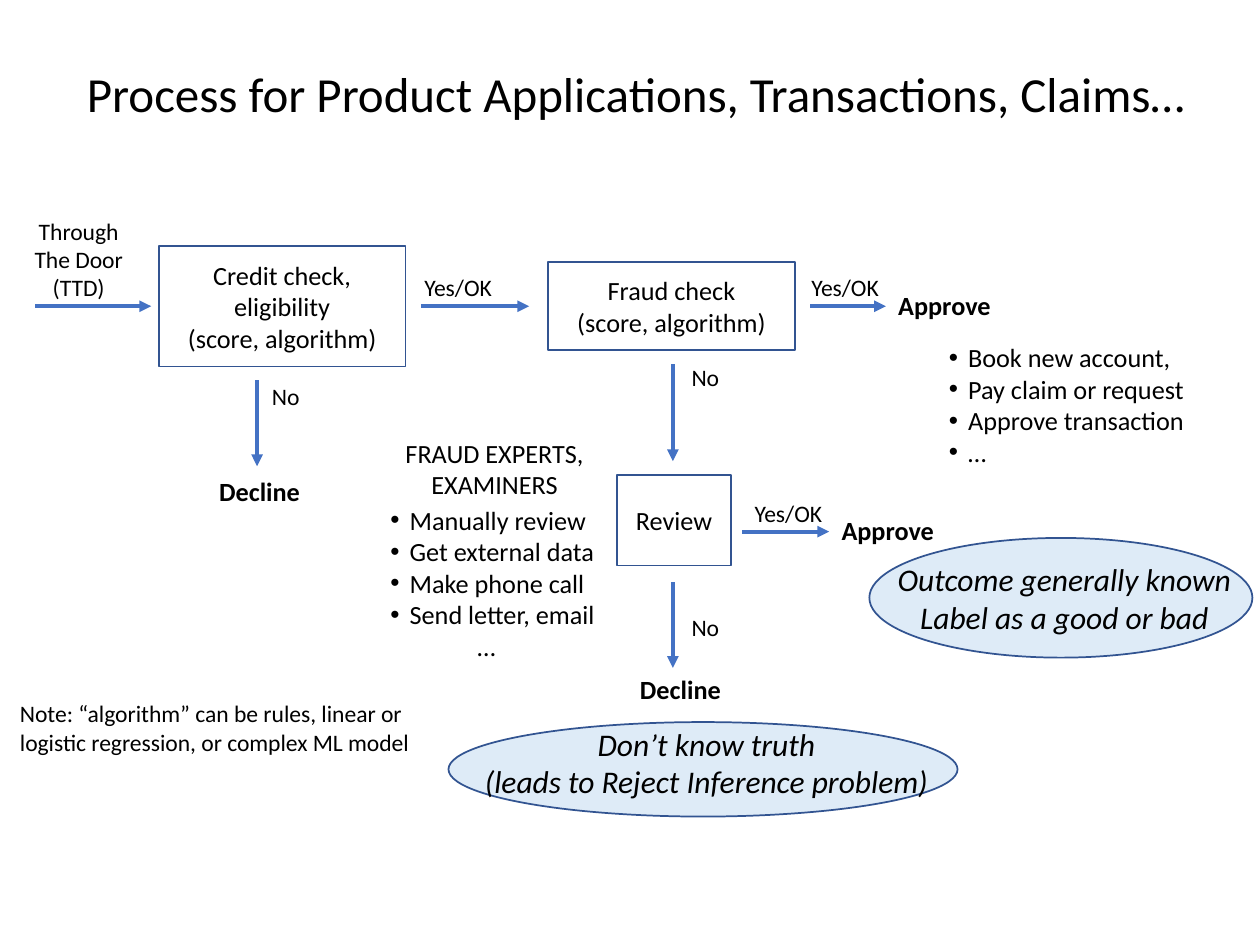
from dataclasses import dataclass

from lxml.etree import SubElement
from pptx import Presentation
from pptx.dml.color import RGBColor
from pptx.enum.shapes import MSO_CONNECTOR as Connector, MSO_SHAPE as Preset
from pptx.enum.text import MSO_ANCHOR as Anchor, MSO_AUTO_SIZE as AutoSize, PP_ALIGN as Align
from pptx.oxml.ns import qn
from pptx.util import Pt

BLACK, OUTLINE, ARROW, PALE = "000000", "325491", "4472C4", "DEEBF7"
STEP_SIZE, NOTE_SIZE, OUTCOME_SIZE, TITLE_SIZE = 15, 13.5, 18, 28


@dataclass
class Step:
    text: str
    left: float
    top: float
    width: float
    height: float


@dataclass
class Outcome(Step):
    shift: float = 0
    lift: float = 0


@dataclass
class Flow:
    start_x: float
    start_y: float
    end_x: float
    end_y: float


@dataclass
class Label:
    text: str
    left: float
    top: float
    width: float
    height: float
    size: float = NOTE_SIZE
    bold: bool = False
    align: Align = Align.LEFT
    wrap: bool = False


@dataclass
class BulletList:
    items: list[str]
    left: float
    top: float
    width: float
    height: float
    indent: float
    margin_left: float
    trailing: str = ""


def color(value: str) -> RGBColor:
    return RGBColor.from_string(value)


def place(item, left: float, top: float, width: float, height: float) -> None:
    item.left, item.top, item.width, item.height = Pt(left), Pt(top), Pt(width), Pt(height)


def write(frame, text: str, size: float, align: Align, bold: bool = False,
          italic: bool = False, wrap: bool = False) -> None:
    frame.text = text
    frame.word_wrap = wrap
    frame.auto_size = AutoSize.NONE
    for paragraph in frame.paragraphs:
        paragraph.alignment = align
        paragraph.line_spacing = 1.0
        paragraph.space_before = paragraph.space_after = Pt(0)
        for run in paragraph.runs:
            run.font.name = "Calibri"
            run.font.size = Pt(size)
            run.font.bold, run.font.italic = bold, italic
            run.font.color.rgb = color(BLACK)


def draw_block(slide, preset: Preset, block: Step):
    drawn = slide.shapes.add_shape(
        preset, Pt(block.left), Pt(block.top), Pt(block.width), Pt(block.height))
    drawn.shadow.inherit = False
    drawn.line.color.rgb = color(OUTLINE)
    drawn.line.width = Pt(1)
    drawn.text_frame.vertical_anchor = Anchor.MIDDLE
    return drawn


def draw_step(slide, step: Step) -> None:
    box = draw_block(slide, Preset.RECTANGLE, step)
    box.fill.background()
    write(box.text_frame, step.text, STEP_SIZE, Align.CENTER)


def draw_outcome(slide, outcome: Outcome) -> None:
    oval = draw_block(slide, Preset.OVAL, outcome)
    oval.fill.solid()
    oval.fill.fore_color.rgb = color(PALE)
    frame = oval.text_frame
    frame.margin_top = frame.margin_right = Pt(0)
    frame.margin_left, frame.margin_bottom = Pt(2 * outcome.shift), Pt(2 * outcome.lift)
    write(frame, outcome.text, OUTCOME_SIZE, Align.CENTER, italic=True)


def draw_flow(slide, flow: Flow) -> None:
    arrow = slide.shapes.add_connector(
        Connector.STRAIGHT, Pt(flow.start_x), Pt(flow.start_y), Pt(flow.end_x), Pt(flow.end_y))
    arrow.line.color.rgb = color(ARROW)
    arrow.line.width = Pt(2.25)
    properties = arrow.element.spPr
    SubElement(properties.find(qn("a:ln")), qn("a:tailEnd"), type="triangle")
    SubElement(properties, qn("a:effectLst"))


def draw_label(slide, label: Label) -> None:
    box = slide.shapes.add_textbox(
        Pt(label.left), Pt(label.top), Pt(label.width), Pt(label.height))
    write(box.text_frame, label.text, label.size, label.align, label.bold, wrap=label.wrap)


def fill_list(body, bullets: BulletList) -> None:
    place(body, bullets.left, bullets.top, bullets.width, bullets.height)
    frame = body.text_frame
    frame.margin_left = Pt(bullets.margin_left)
    frame.vertical_anchor = Anchor.TOP
    lines = bullets.items + ([bullets.trailing] if bullets.trailing else [])
    write(frame, "\n".join(lines), STEP_SIZE, Align.LEFT)
    for index, paragraph in enumerate(frame.paragraphs):
        properties = paragraph._p.get_or_add_pPr()
        if index < len(bullets.items):
            properties.set("marL", str(Pt(bullets.indent)))
            properties.set("indent", str(-Pt(11)))
            SubElement(properties, qn("a:buFont"), typeface="Arial")
            SubElement(properties, qn("a:buChar"), char="•")
        else:
            paragraph.alignment = Align.CENTER
            properties.set("marL", "0")
            properties.set("indent", "0")
            SubElement(properties, qn("a:buNone"))


MAIN_Y, REVIEW_Y, CREDIT_X, FRAUD_X = 175, 303.8, 146.9, 384.5

outcomes = [
    Outcome("Don’t know truth\n(leads to Reject Inference problem)",
            256.3, 412.6, 290.9, 54, shift=2, lift=4),
    Outcome("Outcome generally known\nLabel as a good or bad",
            496.8, 307.4, 218.9, 68.4, shift=2),
]
steps = [
    Step("Credit check,\neligibility\n(score, algorithm)", 90.7, 140.4, 141.1, 69.1),
    Step("Fraud check\n(score, algorithm)", 313.2, 149.8, 141.1, 50.4),
    Step("Review", 352.8, 271.4, 64.8, 51.8),
]
flows = [
    *(Flow(start, MAIN_Y, end, MAIN_Y)
      for start, end in [(20.2, 86.4), (240.5, 302.4), (463, 506.2)]),
    Flow(424.1, REVIEW_Y, 473.8, REVIEW_Y),
    *(Flow(x, start, x, end) for x, start, end in [
        (CREDIT_X, 217.4, 266.4), (FRAUD_X, 208.1, 263.5), (FRAUD_X, 332.6, 381.6)]),
]
labels = [
    *(Label("Yes/OK", left, top, 54, 23.8)
      for left, top in [(235.4, 152.6), (456.5, 152.6), (424.1, 281.5)]),
    *(Label("No", left, top, 30.2, 23.8)
      for left, top in [(148.3, 214.6), (388.1, 203.8), (388.1, 347)]),
    *(Label("Decline", left, top, 61.2, 25.2, STEP_SIZE, True)
      for left, top in [(118.1, 267.8), (358.6, 380.9)]),
    *(Label("Approve", left, top, 67.7, 25.2, STEP_SIZE, True)
      for left, top in [(506.2, 162), (473.8, 290.2)]),
    Label("Through\nThe Door\n(TTD)", 12.2, 120.2, 65.5, 56.2, align=Align.CENTER),
    Label("FRAUD EXPERTS,\nEXAMINERS", 223.9, 246.2, 117.4, 43.9, STEP_SIZE,
          align=Align.CENTER),
    Label("Note: “algorithm” can be rules, linear or logistic regression, or complex ML model",
          4.3, 396, 256.3, 40.3, wrap=True),
]
bullet_lists = [
    BulletList(["Manually review", "Get external data", "Make phone call", "Send letter, email"],
               213.8, 284.4, 135.4, 97.9, indent=20.3, margin_left=0, trailing="…"),
    BulletList(["Book new account,", "Pay claim or request", "Approve transaction", "…"],
               535, 191.5, 149.8, 79.9, indent=11, margin_left=7.2),
]

deck = Presentation()
deck.slide_width, deck.slide_height = Pt(720), Pt(540)
slide = deck.slides.add_slide(deck.slide_layouts.get_by_name("Two Content"))

title = slide.shapes.title
place(title, 42.5, 32.4, 655.9, 41)
title.text_frame.vertical_anchor = Anchor.TOP
write(title.text_frame, "Process for Product Applications, Transactions, Claims…",
      TITLE_SIZE, Align.LEFT, wrap=True)

for number, bullets in enumerate(bullet_lists, start=1):
    fill_list(slide.placeholders[number], bullets)
for draw, items in [(draw_outcome, outcomes), (draw_step, steps),
                    (draw_flow, flows), (draw_label, labels)]:
    for item in items:
        draw(slide, item)

deck.save("out.pptx")
